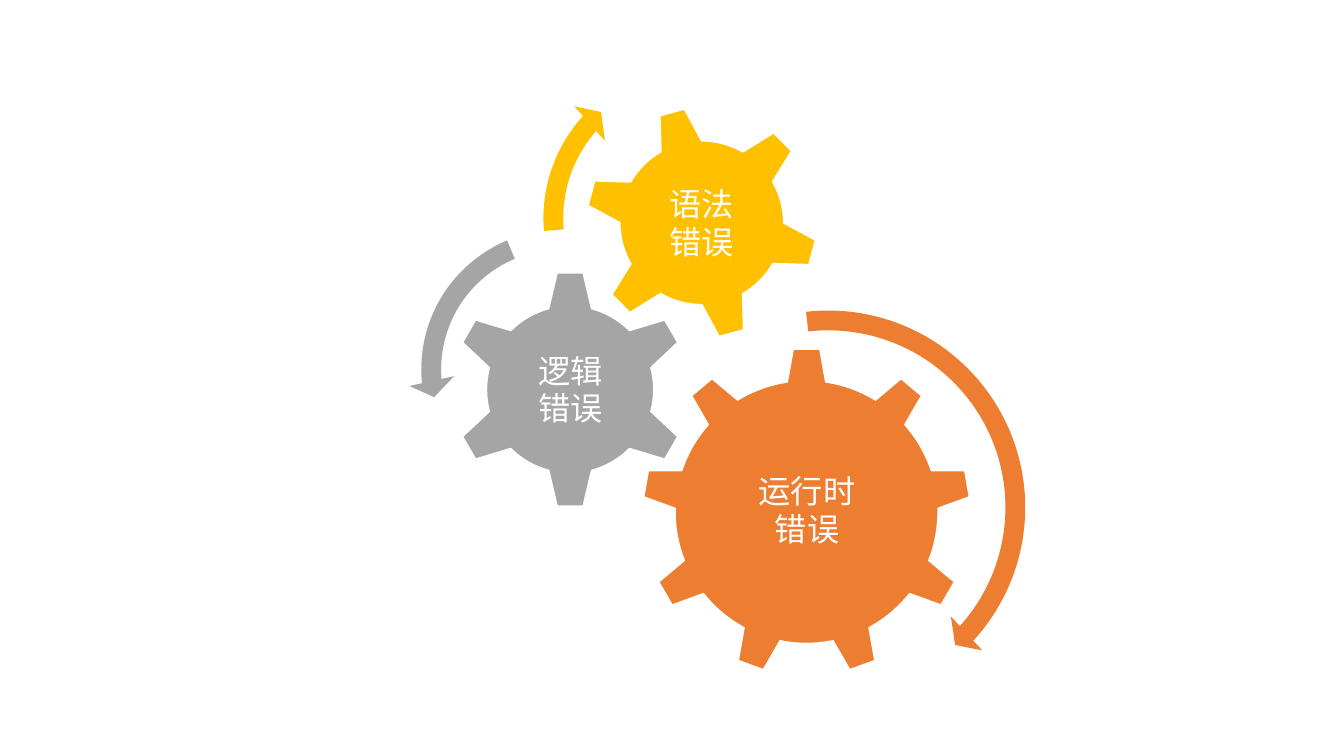
from lxml.etree import SubElement
from pptx import Presentation
from pptx.dml.color import RGBColor
from pptx.enum.shapes import MSO_SHAPE
from pptx.enum.text import MSO_ANCHOR, PP_ALIGN
from pptx.oxml.ns import qn
from pptx.util import Inches, Pt

COLORS = {"orange": "ED7D31", "gray": "A5A5A5", "gold": "FFC000", "white": "FFFFFF"}
FONT = "Noto Sans CJK SC"

deck = Presentation()
deck.slide_width = Inches(13.33)
deck.slide_height = Inches(7.5)
page = deck.slides.add_slide(deck.slide_layouts[6])


def add_figure(kind, left, top, size, color):
    figure = page.shapes.add_shape(kind, Inches(left), Inches(top), Inches(size), Inches(size))
    figure.shadow.inherit = False
    figure.fill.solid()
    figure.fill.fore_color.rgb = RGBColor.from_string(COLORS[color])
    figure.line.fill.background()
    return figure


def add_label(text, left, top, width, height):
    box = page.shapes.add_textbox(Inches(left), Inches(top), Inches(width), Inches(height))
    frame = box.text_frame
    frame.word_wrap = True
    frame.vertical_anchor = MSO_ANCHOR.MIDDLE
    frame.margin_left = frame.margin_right = Inches(0.03)
    frame.margin_top = frame.margin_bottom = Inches(0.03)
    frame.text = text
    for para in frame.paragraphs:
        para.alignment = PP_ALIGN.CENTER
        para.line_spacing = Pt(27)
        for span in para.runs:
            span.font.size = Pt(23)
            span.font.name = FONT
            span.font.color.rgb = RGBColor.from_string(COLORS["white"])
            SubElement(span.font._element, qn("a:ea"), typeface=FONT)


gears = [
    (MSO_SHAPE.GEAR_9, 6.37, 3.45, 3.26, 0, "orange", "运行时\n错误", (7.03, 4.22, 1.95, 1.68)),
    (MSO_SHAPE.GEAR_6, 4.47, 2.68, 2.37, 0, "gray", "逻辑\n错误", (5.07, 3.28, 1.18, 1.17)),
    (MSO_SHAPE.GEAR_6, 5.8, 1.05, 2.32, 345, "gold", "语法\n错误", (6.31, 1.56, 1.3, 1.3)),
]
for kind, left, top, size, rotation, color, text, label_area in gears:
    gear = add_figure(kind, left, top, size, color)
    gear.rotation = rotation
    gear.line.color.rgb = RGBColor.from_string(COLORS["white"])
    gear.line.width = Pt(1)
    add_label(text, *label_area)

arrows = [
    (MSO_SHAPE.CIRCULAR_ARROW, 6.13, 2.95, 4.17, "orange", (0.047, 2.99, 25.393, 158.123, 0.055)),
    (MSO_SHAPE.LEFT_CIRCULAR_ARROW, 4.05, 2.15, 3.03, "gray", (0.065, 4.3, 104.891, 148.378, 0.075)),
    (MSO_SHAPE.CIRCULAR_ARROW, 5.26, 0.53, 3.27, "gold", (0.06, 3.941, 133.138, 105.082, 0.07)),
]
for kind, left, top, size, color, bends in arrows:
    arrow = add_figure(kind, left, top, size, color)
    for index, bend in enumerate(bends):
        arrow.adjustments[index] = bend

deck.save("out.pptx")
